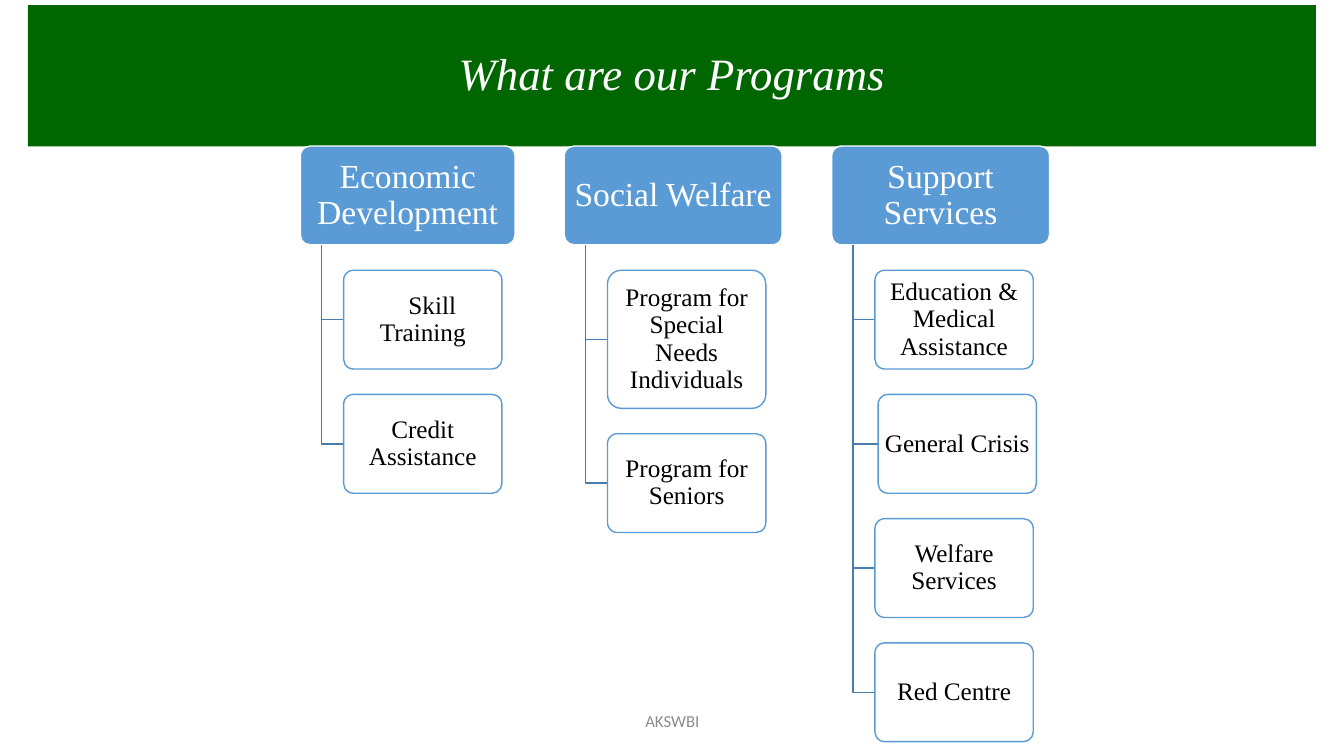
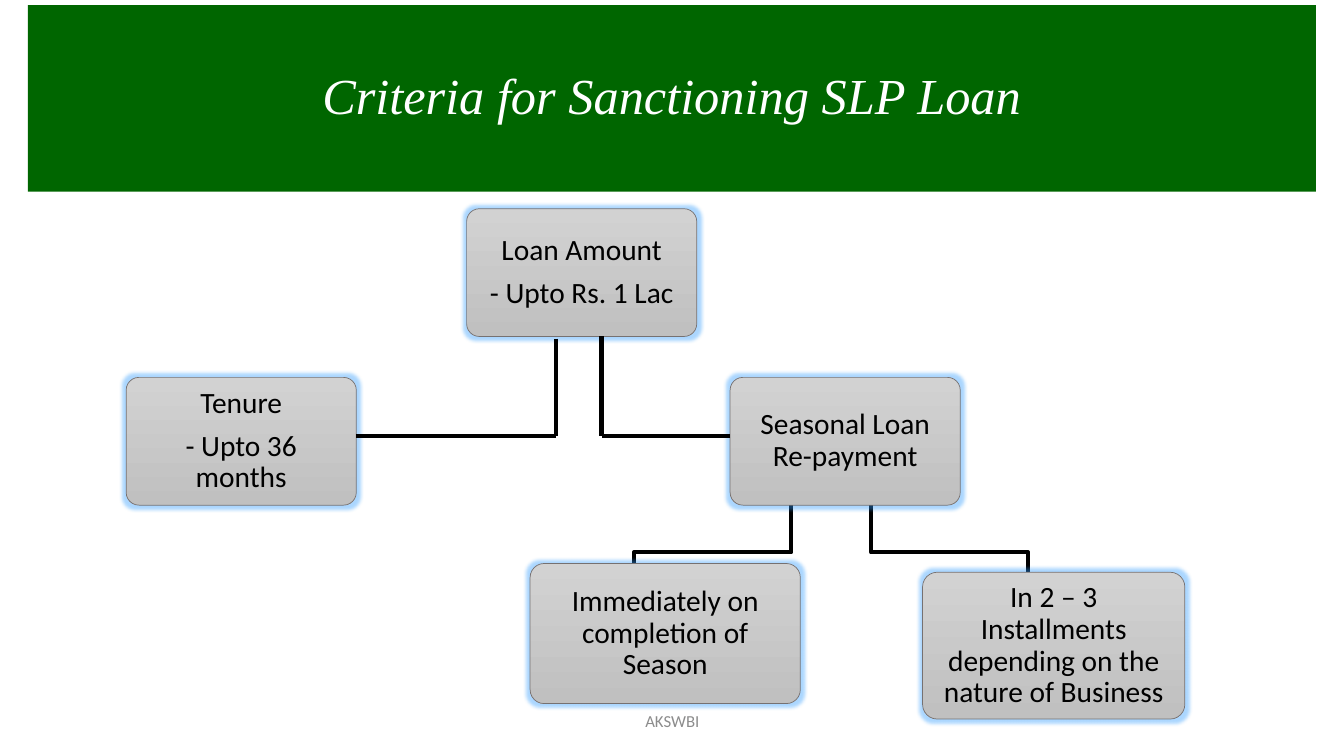
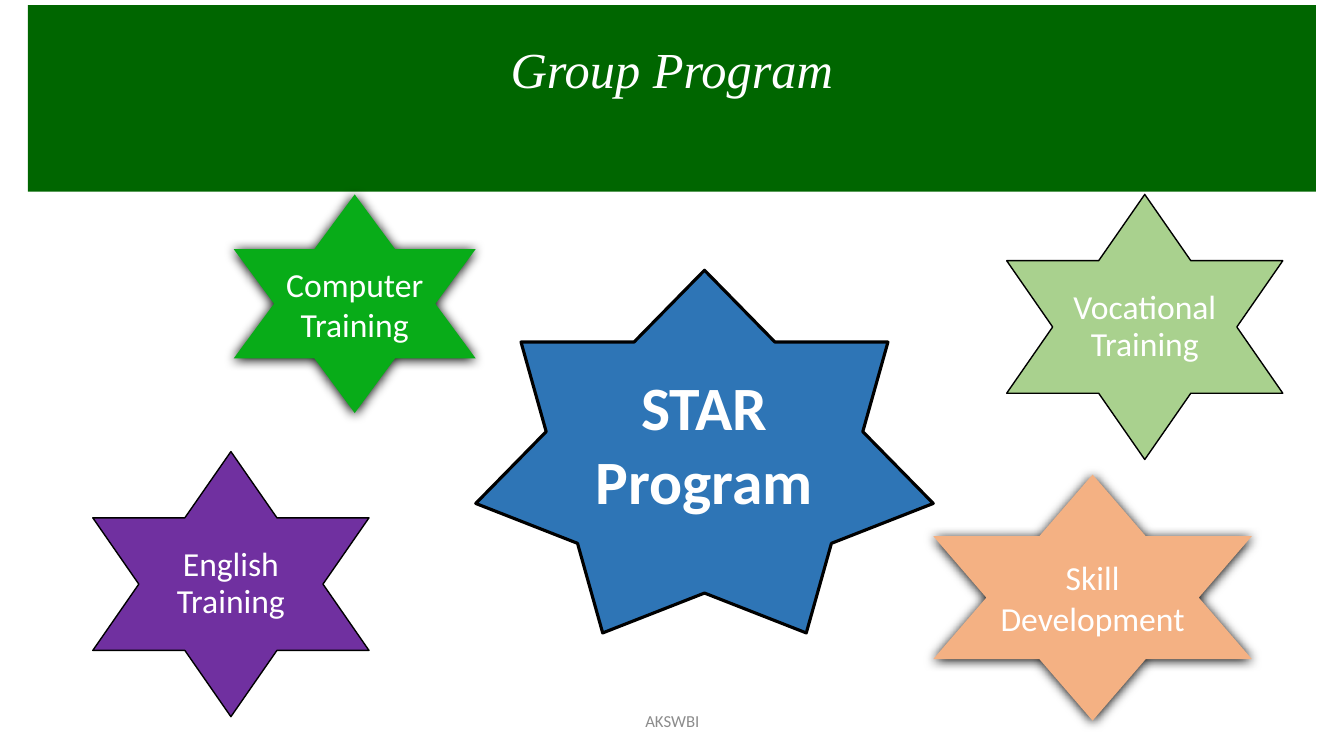
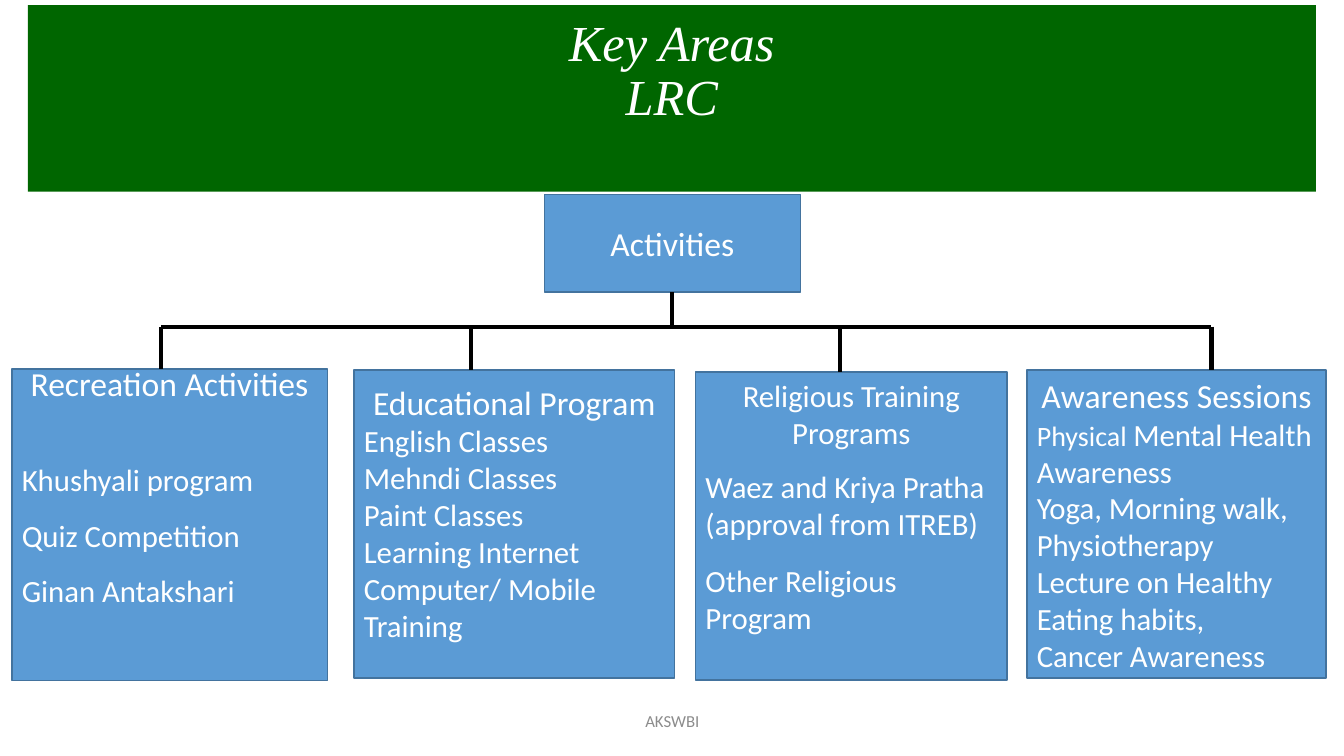
from dataclasses import dataclass
from typing import Any, Optional

import lxml.etree
import pptx
import pptx.dml.color
import pptx.enum.dml
import pptx.enum.shapes
import pptx.enum.text
import pptx.oxml.ns
import pptx.util

Cm = pptx.util.Cm
Pt = pptx.util.Pt
Align = pptx.enum.text.PP_ALIGN
Anchor = pptx.enum.text.MSO_ANCHOR
Form = pptx.enum.shapes.MSO_SHAPE


@dataclass(frozen=True)
class Theme:
    green: str = "006600"
    blue: str = "5B9BD5"
    trim: str = "43739E"
    branch: str = "497CAB"
    white: str = "FFFFFF"
    black: str = "000000"
    foot: str = "8C8C8C"
    silver: tuple[str, str] = ("D2D2D2", "C0C0C0")
    edge: str = "767171"
    glow: str = "2E9BFF"
    star: str = "2E75B6"
    lime: str = "08AC18"
    sage: str = "A9D18E"
    purple: str = "7030A0"
    peach: str = "F4B183"
    serif: str = "Times New Roman"
    sans: str = "Calibri"
    small: float = 12
    leaf: float = 18
    note: float = 20
    loan: float = 21
    body: float = 22
    head: float = 24
    short: float = 32
    title: float = 36
    giant: float = 44


T = Theme()


@dataclass(frozen=True)
class Box:
    x: float
    y: float
    w: float
    h: float


@dataclass(frozen=True)
class Run:
    text: str
    size: float


@dataclass(frozen=True)
class Para:
    runs: tuple[Run, ...]
    align: Any = Align.CENTER
    space: float = 1.0
    before: float = 0
    indent: float = 0


@dataclass(frozen=True)
class Font:
    name: str = T.sans
    color: str = T.white
    bold: bool = False
    italic: bool = False


@dataclass(frozen=True)
class Pad:
    side: float = 0.25
    top: float = 0.13
    base: float = 0.13


@dataclass(frozen=True)
class Leaf:
    text: str
    height: float = 2.49
    shift: float = 0
    side: float = 0.05
    indent: float = 0


@dataclass(frozen=True)
class Branch:
    text: str
    x: float
    width: float
    leaves: tuple[Leaf, ...]


@dataclass(frozen=True)
class Star:
    text: str
    box: Box
    fill: str
    space: float
    lined: bool


@dataclass(frozen=True)
class Card:
    box: Box
    drop: float
    top: float
    paras: tuple[Para, ...]


def rgb(code: str) -> Any:
    return pptx.dml.color.RGBColor.from_string(code)


def line(text: str, size: float, **style: Any) -> Para:
    return Para((Run(text, size),), **style)


def item(text: str, **style: Any) -> Para:
    return line(text, T.body, align=Align.LEFT, **style)


def write(shape: Any, paras: tuple[Para, ...], font: Font, pad: Pad = Pad(),
          anchor: Any = Anchor.MIDDLE) -> None:
    frame = shape.text_frame
    frame.word_wrap = True
    frame.auto_size = pptx.enum.text.MSO_AUTO_SIZE.NONE
    frame.vertical_anchor = anchor
    frame.margin_left = frame.margin_right = Cm(pad.side)
    frame.margin_top, frame.margin_bottom = Cm(pad.top), Cm(pad.base)
    for index, para in enumerate(paras):
        part = frame.add_paragraph() if index else frame.paragraphs[0]
        part.alignment = para.align
        part.line_spacing = para.space
        if para.before:
            part.space_before = Pt(para.before)
        if para.indent:
            part._p.get_or_add_pPr().set("indent", str(Cm(para.indent)))
        for piece in para.runs:
            run = part.add_run()
            run.text = piece.text
            run.font.size = Pt(piece.size)
            run.font.name = font.name
            run.font.bold = font.bold
            run.font.italic = font.italic
            run.font.color.rgb = rgb(font.color)


def block(slide: Any, form: Any, box: Box, fill: Optional[str],
          edge: Optional[str] = None, width: float = 1) -> Any:
    shape = slide.shapes.add_shape(form, Cm(box.x), Cm(box.y), Cm(box.w), Cm(box.h))
    shape.shadow.inherit = False
    if fill:
        shape.fill.solid()
        shape.fill.fore_color.rgb = rgb(fill)
    if edge:
        shape.line.color.rgb = rgb(edge)
        shape.line.width = Pt(width)
    else:
        shape.line.fill.background()
    return shape


def effect(shape: Any, kind: str, color: str, alpha: int, **sizes: Any) -> None:
    qn = pptx.oxml.ns.qn
    group = shape._element.spPr.find(qn("a:effectLst"))
    node = lxml.etree.SubElement(group, qn(f"a:{kind}"))
    for name, value in sizes.items():
        node.set(name, str(value))
    tint = lxml.etree.SubElement(node, qn("a:srgbClr"), val=color)
    lxml.etree.SubElement(tint, qn("a:alpha"), val=str(alpha * 1000))


def trace(slide: Any, points: list[tuple[float, float]], color: str, width: float) -> None:
    spots = [(Cm(x), Cm(y)) for x, y in points]
    pen = slide.shapes.build_freeform(*spots[0])
    pen.add_line_segments(spots[1:], close=False)
    shape = pen.convert_to_shape()
    shape.shadow.inherit = False
    shape.fill.background()
    shape.line.color.rgb = rgb(color)
    shape.line.width = Pt(width)


def link(slide: Any, x1: float, y1: float, x2: float, y2: float) -> None:
    wire = slide.shapes.add_connector(
        pptx.enum.shapes.MSO_CONNECTOR.STRAIGHT, Cm(x1), Cm(y1), Cm(x2), Cm(y2))
    wire.line.color.rgb = rgb(T.black)
    wire.line.width = Pt(3)
    lxml.etree.SubElement(wire._element.spPr, pptx.oxml.ns.qn("a:effectLst"))


def start(deck: Any, lines: tuple[str, ...], size: float = T.title,
          height: float = 4.7, base: float = 0.13) -> Any:
    slide = deck.slides.add_slide(deck.slide_layouts[5])
    title = slide.shapes.title
    title.left, title.top = Cm(0.7), Cm(0.13)
    title.width, title.height = Cm(32.46), Cm(height)
    title.fill.solid()
    title.fill.fore_color.rgb = rgb(T.green)
    write(title, tuple(line(text, size, space=0.9) for text in lines),
          Font(T.serif, italic=True), Pad(base=base))
    foot = slide.shapes.add_textbox(Cm(11.23), Cm(17.65), Cm(11.43), Cm(1.02))
    write(foot, (line("AKSWBI", T.small),), Font(color=T.foot))
    return slide


def programs(deck: Any) -> None:
    slide = start(deck, ("What are our Programs",), T.short, 3.56)
    top, height, gap = 3.68, 2.49, 0.64
    branches = (
        Branch("Economic Development", 7.57, 5.41, (
            Leaf("Skill Training", indent=0.48), Leaf("Credit Assistance"))),
        Branch("Social Welfare", 14.22, 5.49, (
            Leaf("Program for Special Needs Individuals", 3.48, side=0.15),
            Leaf("Program for Seniors"))),
        Branch("Support Services", 20.96, 5.49, (
            Leaf("Education & Medical Assistance"),
            Leaf("General Crisis", shift=0.08),
            Leaf("Welfare Services"), Leaf("Red Centre"))),
    )
    for branch in branches:
        head = block(slide, Form.ROUNDED_RECTANGLE,
                     Box(branch.x, top, branch.width, height), T.blue, T.white)
        head.adjustments[0] = 0.1
        write(head, (line(branch.text, T.head, space=0.9),), Font(T.serif), Pad(0.13, 0.08, 0.08))
        trunk, y = branch.x + 0.54, top + height + gap
        for leaf in branch.leaves:
            x = branch.x + 1.09 + leaf.shift
            mid = y + leaf.height / 2
            trace(slide, [(trunk, top + height), (trunk, mid), (x, mid)], T.branch, 1)
            cell = block(slide, Form.ROUNDED_RECTANGLE,
                         Box(x, y, 3.99, leaf.height), T.white, T.blue)
            cell.adjustments[0] = 0.1
            write(cell, (line(leaf.text, T.leaf, space=0.9, indent=leaf.indent),),
                  Font(T.serif, T.black), Pad(leaf.side, 0.06, 0.06))
            y += leaf.height + gap


def loans(deck: Any) -> None:
    slide = start(deck, ("Criteria for Sanctioning SLP Loan",))
    for near, far in ((21.95, 25.91), (19.94, 15.98)):
        trace(slide, [(near, 12.62), (near, 13.92), (far, 13.92), (far, 14.5)], T.black, 3)
    boxes = (
        (Box(11.76, 5.26, 5.8, 3.22), ("Loan Amount", "- Upto Rs. 1 Lac")),
        (Box(3.18, 9.51, 5.8, 3.22), ("Tenure", "- Upto 36 months")),
        (Box(18.4, 9.51, 5.8, 3.22), ("Seasonal Loan Re-payment",)),
        (Box(13.36, 14.2, 6.81, 3.53), ("Immediately on completion of Season",)),
        (Box(23.25, 14.42, 6.61, 3.7),
         ("In 2 – 3 Installments depending on the nature of Business",)),
    )
    for box, texts in boxes:
        cell = block(slide, Form.ROUNDED_RECTANGLE, box, None, T.edge, 0.5)
        cell.adjustments[0] = 0.1
        cell.fill.gradient()
        cell.fill.gradient_angle = 270
        for stop, color in zip(cell.fill.gradient_stops, T.silver):
            stop.color.rgb = rgb(color)
        effect(cell, "glow", T.glow, 40, rad=Pt(5))
        write(cell, tuple(line(text, T.loan, space=0.9, before=7.5 if i else 0)
                          for i, text in enumerate(texts)),
              Font(color=T.black), Pad(0.23, 0.23, 0.23))
    for x, side, top in ((15.16, 18.4, 8.47), (14.02, 8.97, 8.53)):
        link(slide, side, 10.98, x, 10.98)
        link(slide, x, top, x, 10.98)


def stars(deck: Any) -> None:
    slide = start(deck, ("Group Program",), base=1.45)
    hub = block(slide, Form.STAR_7_POINT, Box(11.99, 6.81, 11.53, 9.14),
                T.star, T.black, 2.25)
    write(hub, (line("STAR Program", T.giant),), Font(bold=True))
    for star in (
        Star("Computer Training", Box(5.89, 4.9, 6.1, 5.51), T.lime, 1, False),
        Star("Vocational Training", Box(25.37, 4.9, 6.96, 6.68), T.sage, 0.9, True),
        Star("English Training", Box(2.34, 11.38, 6.96, 6.68), T.purple, 0.9, True),
        Star("Skill Development", Box(23.52, 11.96, 8.03, 6.2), T.peach, 1, False),
    ):
        shape = block(slide, Form.STAR_6_POINT, star.box, star.fill,
                      T.black if star.lined else None)
        if not star.lined:
            effect(shape, "outerShdw", T.black, 100, blurRad=Pt(8.5), dist=Pt(1),
                   dir=5400000, rotWithShape=0)
        write(shape, (line(star.text, T.head, space=star.space),), Font())


def areas(deck: Any) -> None:
    slide = start(deck, ("Key Areas", "LRC"), base=1.45)
    root = block(slide, Form.RECTANGLE, Box(13.72, 4.9, 6.45, 2.46), T.blue, T.trim)
    write(root, (line("Activities", T.head),), Font())
    bar = 8.23
    cards = (
        Card(Box(0.3, 9.3, 7.95, 7.85), 4.06, 0, (
            line("Recreation Activities", T.head, space=0.85),
            item("Khushyali program", space=1.5, before=28),
            item("Quiz Competition", space=1.5),
            item("Ginan Antakshari", space=1.5))),
        Card(Box(8.92, 9.32, 8.08, 7.77), 11.86, 0.3, (
            line("Educational Program", T.head),
            item("English Classes"), item("Mehndi Classes"), item("Paint Classes"),
            item("Learning Internet"), item("Computer/ Mobile Training"))),
        Card(Box(17.53, 9.37, 7.85, 7.77), 21.17, 0.13, (
            line("Religious Training Programs", T.body),
            item("Waez and Kriya Pratha", before=12),
            item("(approval from ITREB)"),
            item("Other Religious Program", before=14.5))),
        Card(Box(25.88, 9.32, 7.54, 7.77), 30.53, 0.13, (
            line("Awareness Sessions", T.head),
            Para((Run("Physical ", T.note), Run("Mental Health Awareness", T.body)), Align.LEFT),
            item("Yoga, Morning walk, Physiotherapy"),
            item("Lecture on Healthy"), item("Eating habits,"),
            item("Cancer Awareness"))),
    )
    link(slide, 16.94, 7.37, 16.94, bar)
    link(slide, cards[0].drop, bar, cards[-1].drop, bar)
    for card in cards:
        shape = block(slide, Form.RECTANGLE, card.box, T.blue, T.trim)
        write(shape, card.paras, Font(), Pad(top=card.top), Anchor.TOP)
        link(slide, card.drop, bar, card.drop, card.box.y)


def main() -> None:
    deck = pptx.Presentation()
    deck.slide_width, deck.slide_height = Cm(33.87), Cm(19.05)
    for build in (programs, loans, stars, areas):
        build(deck)
    deck.save("out.pptx")


if __name__ == "__main__":
    main()
